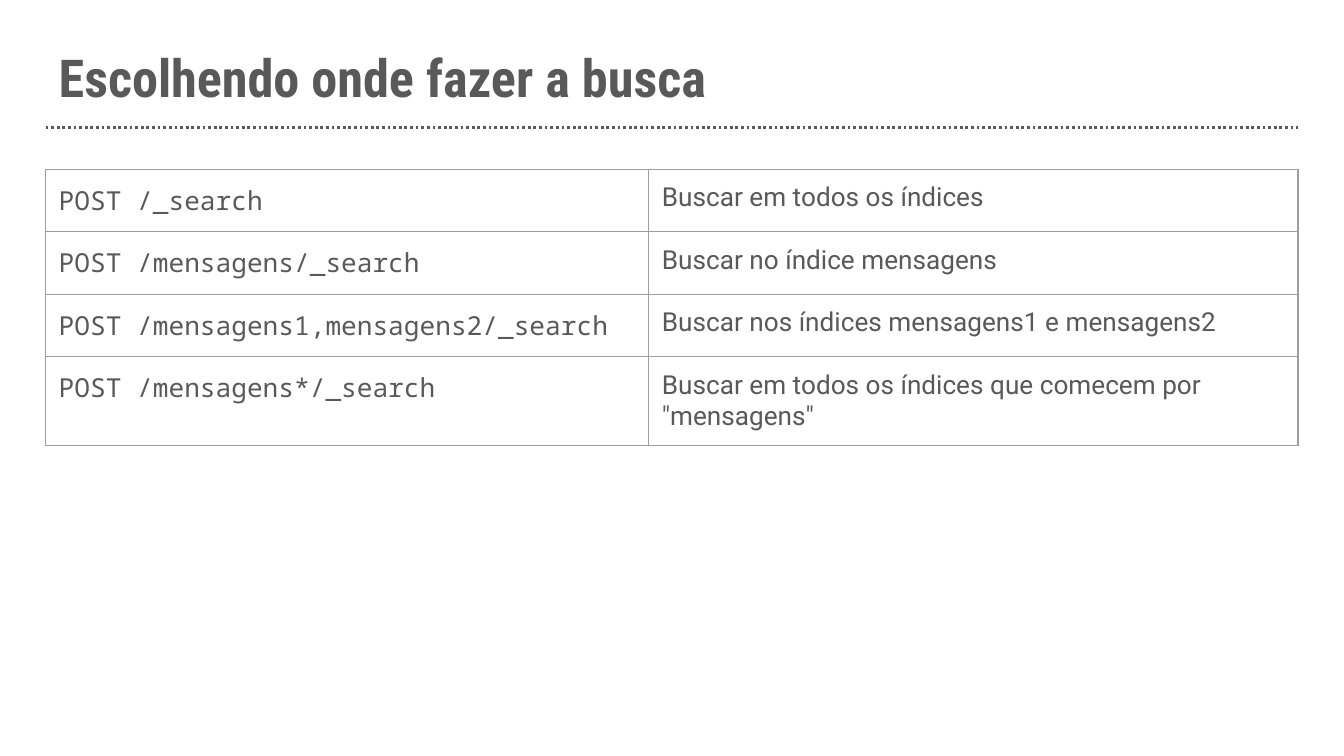
"""Builds a slide that lists search endpoints and what each one searches."""
from lxml import etree
from pptx import Presentation
from pptx.dml.color import RGBColor
from pptx.enum.dml import MSO_LINE
from pptx.enum.shapes import MSO_CONNECTOR
from pptx.enum.text import MSO_ANCHOR, MSO_AUTO_SIZE, PP_ALIGN
from pptx.oxml.ns import qn
from pptx.util import Cm, Pt

STRAIGHT = MSO_CONNECTOR.STRAIGHT
DOTTED = MSO_LINE.ROUND_DOT
TOP = MSO_ANCHOR.TOP
LEFT_ALIGNED = PP_ALIGN.LEFT
NO_AUTOFIT = MSO_AUTO_SIZE.NONE

TITLE = "Escolhendo onde fazer a busca"
SEARCHES = [
    ("POST /_search", "Buscar em todos os índices"),
    ("POST /mensagens/_search", "Buscar no índice mensagens"),
    ("POST /mensagens1,mensagens2/_search", "Buscar nos índices mensagens1 e mensagens2"),
    ("POST /mensagens*/_search", 'Buscar em todos os índices que comecem por "mensagens"'),
]
TEXT_COLOR, BORDER_COLOR = "595959", "9E9E9E"
TITLE_FORMAT = {"name": "Roboto Condensed", "size": Pt(28), "bold": True}
COLUMN_FORMATS = [
    {"name": "Noto Sans Mono", "size": Pt(14), "bold": False},
    {"name": "Roboto", "size": Pt(14), "bold": False},
]
COLUMN_WIDTHS = [Cm(11.4), Cm(12.27)]
ROW_HEIGHTS = [Cm(1.18)] * 3 + [Cm(1.68)]
LEFT, WIDTH = Cm(0.86), sum(COLUMN_WIDTHS)
RULE_TOP, TABLE_TOP = Cm(2.41), Cm(3.2)
INSET = Cm(0.25)
MARGINS = {f"margin_{side}": INSET for side in ("left", "right", "top", "bottom")}


def color(value):
    return RGBColor.from_string(value)


def apply(target, values):
    for name, value in values.items():
        setattr(target, name, value)


def write(frame, text, font_format):
    para = frame.paragraphs[0]
    para.alignment = LEFT_ALIGNED
    span = para.add_run()
    span.text = text
    apply(span.font, font_format)
    span.font.color.rgb = color(TEXT_COLOR)


def add_borders(cell):
    properties = cell._tc.get_or_add_tcPr()
    for index, side in enumerate(("lnL", "lnR", "lnT", "lnB")):
        border = etree.Element(qn(f"a:{side}"), w=str(Pt(0.75)))
        fill = etree.SubElement(border, qn("a:solidFill"))
        etree.SubElement(fill, qn("a:srgbClr"), val=BORDER_COLOR)
        properties.insert(index, border)


def add_title(page):
    title = page.shapes.title
    apply(title, {"left": LEFT, "top": Cm(0.61), "width": WIDTH, "height": Cm(1.6)})
    apply(title.text_frame, {**MARGINS, "word_wrap": True, "auto_size": NO_AUTOFIT,
                             "vertical_anchor": TOP})
    write(title.text_frame, TITLE, TITLE_FORMAT)


def add_rule(page):
    rule = page.shapes.add_connector(STRAIGHT, LEFT, RULE_TOP, LEFT + WIDTH, RULE_TOP)
    apply(rule.line, {"width": Pt(1.5), "dash_style": DOTTED})
    rule.line.color.rgb = color(TEXT_COLOR)
    etree.SubElement(rule._element.spPr, qn("a:effectLst"))


def add_searches(page):
    table = page.shapes.add_table(len(SEARCHES), len(COLUMN_WIDTHS), LEFT, TABLE_TOP,
                                  WIDTH, sum(ROW_HEIGHTS)).table
    apply(table, {"first_row": False, "horz_banding": False})
    for column, width in zip(table.columns, COLUMN_WIDTHS):
        column.width = width
    for row, height, texts in zip(table.rows, ROW_HEIGHTS, SEARCHES):
        row.height = height
        for cell, text, font_format in zip(row.cells, texts, COLUMN_FORMATS):
            apply(cell, {**MARGINS, "vertical_anchor": TOP})
            cell.fill.background()
            write(cell.text_frame, text, font_format)
            add_borders(cell)


def main():
    deck = Presentation()
    apply(deck, {"slide_width": Cm(25.4), "slide_height": Cm(14.29)})
    page = deck.slides.add_slide(deck.slide_layouts[5])
    add_rule(page)
    add_title(page)
    add_searches(page)
    deck.save("out.pptx")


if __name__ == "__main__":
    main()
